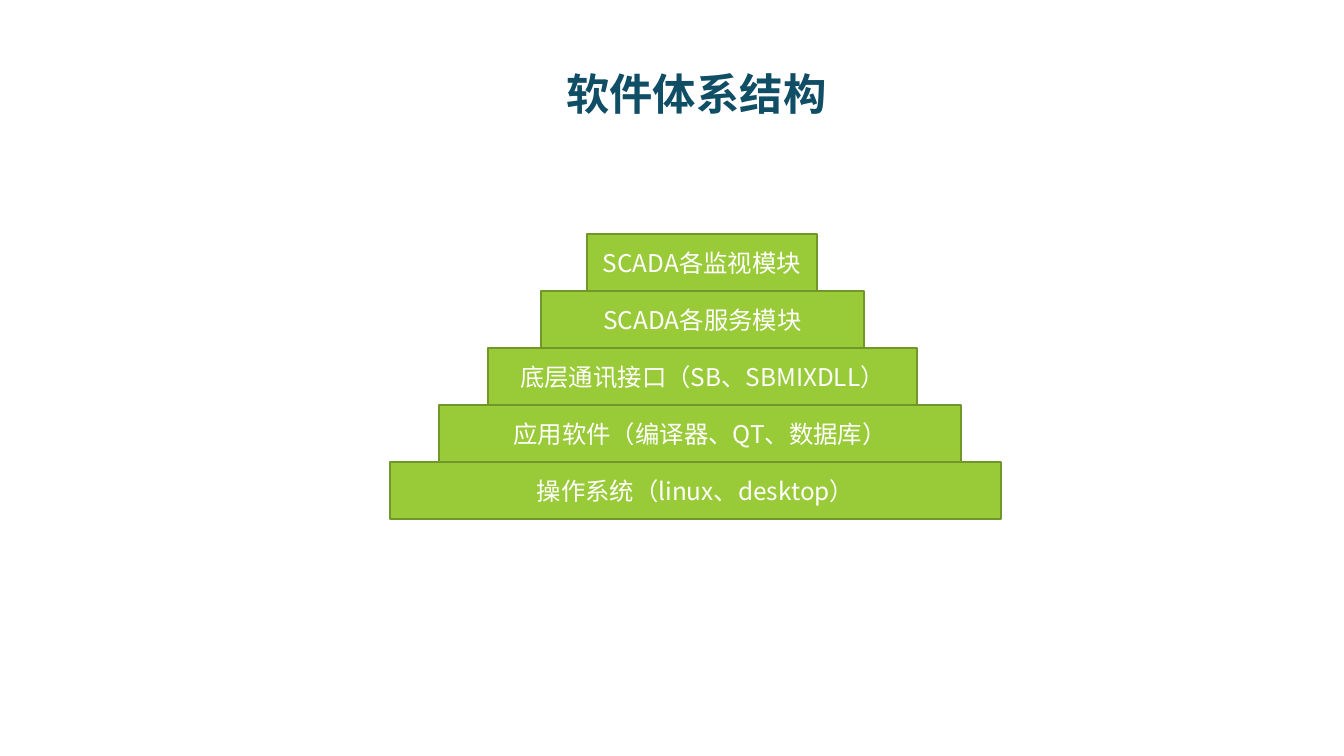
"""Build the software architecture slide: a title above a stepped pyramid of layers."""
from lxml import etree
from pptx import Presentation
from pptx import util as u
from pptx.dml.color import RGBColor
from pptx.enum import shapes, text
from pptx.oxml.ns import qn

TITLE = "软件体系结构"
LAYERS = [
    ("SCADA各监视模块", 587, 230),
    ("SCADA各服务模块", 541, 323),
    ("底层通讯接口（SB、SBMIXDLL）", 488, 429),
    ("应用软件（编译器、QT、数据库）", 439, 522),
    ("操作系统（linux、desktop）", 390, 611),
]
SLIDE_SIZE = (1344, 756)
TITLE_BOX = (472, 67, 449, 58)
PYRAMID_TOP, LAYER_HEIGHT = 234, 57

TEAL = RGBColor(0x0F, 0x4E, 0x64)
GREEN = RGBColor(0x99, 0xCB, 0x38)
DARK_GREEN = RGBColor(0x71, 0x96, 0x29)
WHITE = RGBColor(0xFF, 0xFF, 0xFF)
CHINESE_FONT = "Noto Sans CJK SC"
TITLE_FORMAT = {"name": "Lato", "size": u.Pt(32), "bold": True}
LAYER_FORMAT = {"name": CHINESE_FONT, "size": u.Pt(18), "bold": False}
FRAME_FORMAT = {
    "word_wrap": True,
    "auto_size": text.MSO_AUTO_SIZE.NONE,
    "vertical_anchor": text.MSO_ANCHOR.MIDDLE,
}


def px(length):
    return u.Emu(round(length * 914400 / 97.5))


def place(shape, box):
    for name, length in zip(("left", "top", "width", "height"), box):
        setattr(shape, name, px(length))


def write(shape, wording, font_format, color):
    frame = shape.text_frame
    for name, value in FRAME_FORMAT.items():
        setattr(frame, name, value)
    paragraph = frame.paragraphs[0]
    paragraph.alignment = text.PP_ALIGN.CENTER
    run = paragraph.add_run()
    run.text = wording
    for name, value in font_format.items():
        setattr(run.font, name, value)
    run.font.color.rgb = color
    properties = run._r.get_or_add_rPr()
    etree.SubElement(properties, qn("a:ea"), typeface=CHINESE_FONT)
    return paragraph


def add_layer(slide, index, wording, left, width):
    top = PYRAMID_TOP + index * LAYER_HEIGHT
    box = [px(length) for length in (left, top, width, LAYER_HEIGHT)]
    shape = slide.shapes.add_shape(shapes.MSO_SHAPE.RECTANGLE, *box)
    shape.shadow.inherit = False
    shape.fill.solid()
    shape.fill.fore_color.rgb = GREEN
    shape.line.color.rgb = DARK_GREEN
    shape.line.width = u.Pt(1)
    write(shape, wording, LAYER_FORMAT, WHITE)


def main():
    presentation = Presentation()
    presentation.slide_width, presentation.slide_height = map(px, SLIDE_SIZE)
    slide = presentation.slides.add_slide(presentation.slide_layouts[5])
    title = slide.shapes.title
    place(title, TITLE_BOX)
    write(title, TITLE, TITLE_FORMAT, TEAL).line_spacing = 0.9
    for index, layer in enumerate(LAYERS):
        add_layer(slide, index, *layer)
    presentation.save("out.pptx")


if __name__ == "__main__":
    main()
